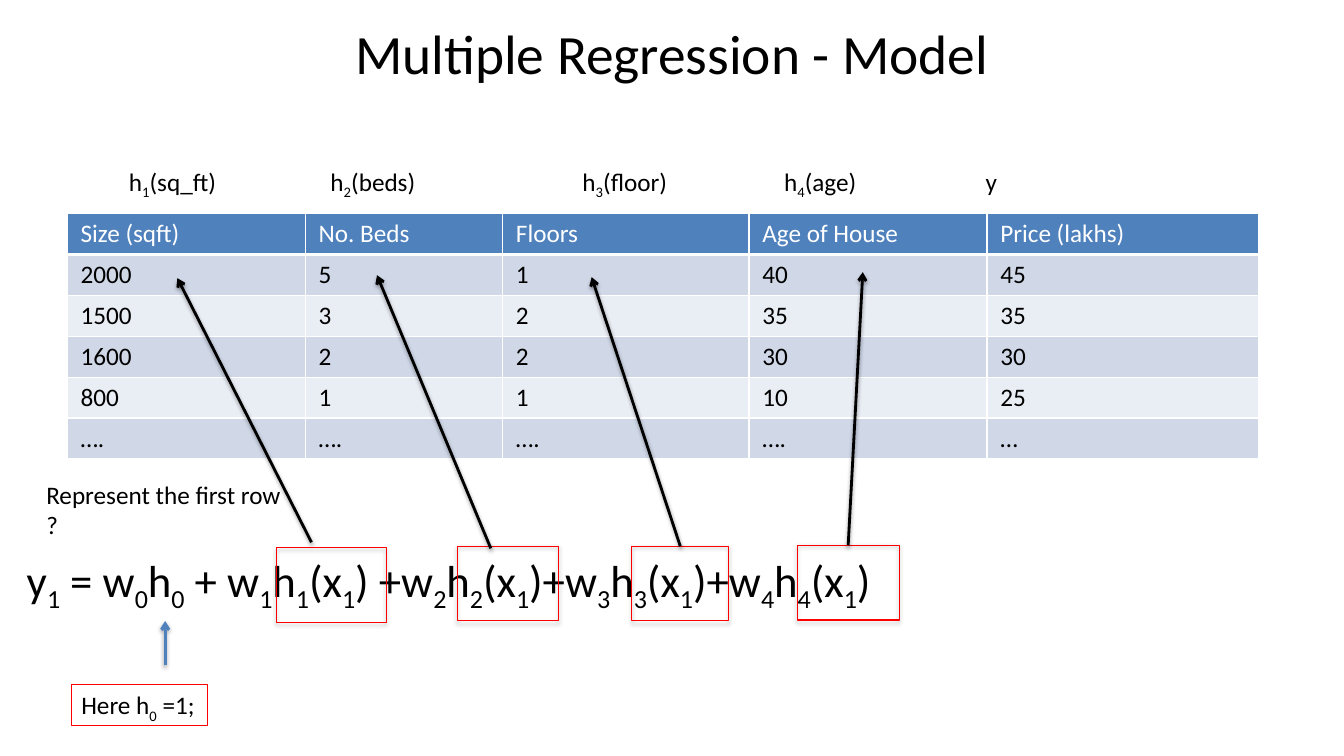
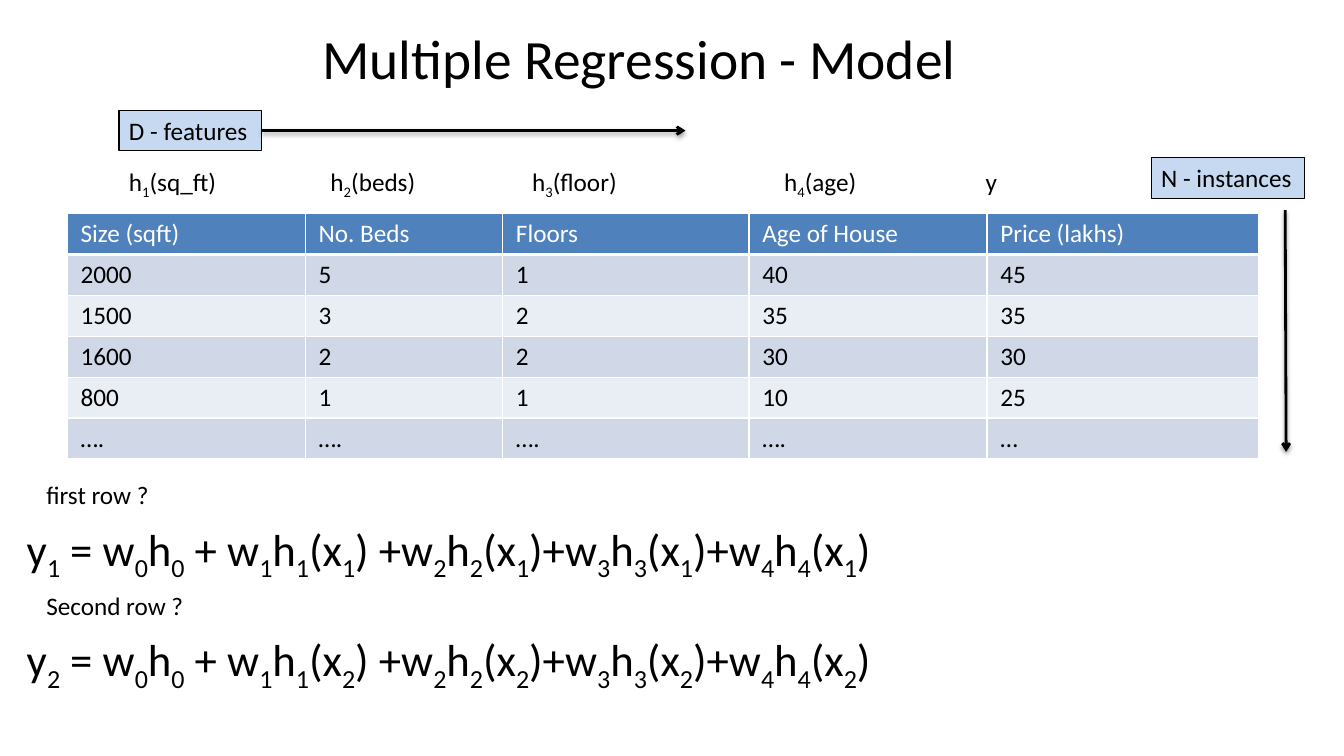
from lxml.etree import SubElement
from pptx import Presentation
from pptx.dml.color import RGBColor
from pptx.enum.shapes import MSO_CONNECTOR, MSO_SHAPE
from pptx.enum.text import MSO_ANCHOR, MSO_AUTO_SIZE, PP_ALIGN
from pptx.oxml.ns import qn
from pptx.util import Pt

FONT = "Calibri"
BODY_SIZE = 18
COLORS = {
    "ink": "000000",
    "paper": "FFFFFF",
    "header": "4F81BD",
    "band_dark": "D0D8E8",
    "band_light": "E9EDF4",
    "label": "C6D9F1",
    "mark": "FF0000",
}
HOUSES = [
    ["Size (sqft)", "No. Beds", "Floors", "Age of House", "Price (lakhs)"],
    ["2000", "5", "1", "40", "45"],
    ["1500", "3", "2", "35", "35"],
    ["1600", "2", "2", "30", "30"],
    ["800", "1", "1", "10", "25"],
    ["….", "….", "….", "….", "…"],
]
COLUMN_WIDTHS = [170, 141, 176, 170, 194]
ROW_HEIGHT = 29.2
FEATURES = "h~1~(sq_ft)\th~2~(beds)\th~3~(floor)\th~4~(age)\ty"
DATA_BOX = (48, 115, sum(COLUMN_WIDTHS))


def rgb(name):
    return RGBColor.from_string(COLORS[name])


def style_font(font, size, color="ink"):
    font.name = FONT
    font.size = Pt(size)
    font.bold = False
    font.color.rgb = rgb(color)


def add_runs(paragraph, text, size, color="ink"):
    for position, part in enumerate(text.split("~")):
        if not part:
            continue
        run = paragraph.add_run()
        run.text = part
        style_font(run.font, size, color)
        if position % 2:
            run._r.get_or_add_rPr().set("baseline", "-25000")


def add_text(slide, box, text, size=BODY_SIZE, wrap=True):
    text_box = slide.shapes.add_textbox(*map(Pt, box))
    text_box.text_frame.word_wrap = wrap
    add_runs(text_box.text_frame.paragraphs[0], text, size)
    return text_box


def add_framed_text(slide, box, text, line, fill=None):
    framed = add_text(slide, box, text, wrap=False)
    framed.line.color.rgb = rgb(line)
    framed.line.width = Pt(0.75)
    if fill:
        framed.fill.solid()
        framed.fill.fore_color.rgb = rgb(fill)
    return framed


def add_shadow(shape, distance, opacity):
    properties = shape._element.spPr
    effects = properties.find(qn("a:effectLst"))
    if effects is None:
        effects = SubElement(properties, qn("a:effectLst"))
    shadow = SubElement(effects, qn("a:outerShdw"), blurRad=str(Pt(3.1)),
                        dist=str(Pt(distance)), dir="5400000", rotWithShape="0")
    tone = SubElement(shadow, qn("a:srgbClr"), val=COLORS["ink"])
    SubElement(tone, qn("a:alpha"), val=str(opacity * 1000))


def add_arrow(slide, start, tip, color="ink", source=None, site=0):
    arrow = slide.shapes.add_connector(MSO_CONNECTOR.STRAIGHT, *map(Pt, (*start, *tip)))
    if source is not None:
        arrow.begin_connect(source, site)
    arrow.line.color.rgb = rgb(color)
    arrow.line.width = Pt(2)
    SubElement(arrow.line._get_or_add_ln(), qn("a:tailEnd"), type="arrow")
    add_shadow(arrow, 1.6, 38)


def add_title(slide, left, top):
    title = slide.shapes.title
    title.left, title.top, title.width, title.height = map(Pt, (left, top, 864, 60))
    frame = title.text_frame
    frame.word_wrap = True
    frame.auto_size = MSO_AUTO_SIZE.NONE
    frame.vertical_anchor = MSO_ANCHOR.MIDDLE
    heading = frame.paragraphs[0]
    heading.alignment = PP_ALIGN.CENTER
    add_runs(heading, "Multiple Regression - Model", 39.6)


def style_cell(cell, text, row):
    cell.margin_left = cell.margin_right = Pt(9.6)
    cell.margin_top = cell.margin_bottom = Pt(3.6)
    properties = cell._tc.get_or_add_tcPr()
    for side in ("L", "R", "T", "B"):
        width = 3 if row == 0 and side == "B" else 1
        border = SubElement(properties, qn(f"a:ln{side}"), w=str(Pt(width)))
        SubElement(SubElement(border, qn("a:solidFill")), qn("a:srgbClr"), val=COLORS["paper"])
    cell.fill.solid()
    band = "header" if row == 0 else "band_dark" if row % 2 else "band_light"
    cell.fill.fore_color.rgb = rgb(band)
    add_runs(cell.text_frame.paragraphs[0], text, BODY_SIZE, "ink" if row else "paper")


def add_data(slide, box, tab_stops):
    left, top, width = box
    features = add_text(slide, (left + 37, top, width - 37, 29), FEATURES)
    paragraph_properties = features.text_frame.paragraphs[0]._p.get_or_add_pPr()
    tabs = SubElement(paragraph_properties, qn("a:tabLst"))
    for stop in tab_stops:
        SubElement(tabs, qn("a:tab"), pos=str(Pt(stop)), algn="l")

    table = slide.shapes.add_table(
        len(HOUSES), len(COLUMN_WIDTHS), Pt(left), Pt(top + 37.6), Pt(width),
        Pt(ROW_HEIGHT * len(HOUSES))).table
    table.horz_banding = False
    for column, column_width in zip(table.columns, COLUMN_WIDTHS):
        column.width = Pt(column_width)
    for row, values in enumerate(HOUSES):
        table.rows[row].height = Pt(ROW_HEIGHT)
        for column, value in enumerate(values):
            style_cell(table.cell(row, column), value, row)


def add_equation(slide, box, instance):
    x = f"(x~{instance}~)"
    equation = (f"y~{instance}~ = w~0~h~0~ + w~1~h~1~{x} "
                f"+w~2~h~2~{x}+w~3~h~3~{x}+w~4~h~4~{x}")
    add_text(slide, box, equation, 32)


def add_term_marks(slide, left, top):
    marks = [
        (185.3, 0, 78.5, (210.5, -3.6), (114.7, -192.3)),
        (314.9, -0.8, 72, (338.6, 0.7), (257.3, -194.4)),
        (439.4, -0.8, 69.1, None, (410.6, -193)),
        (557.5, -1.5, 72.7, None, (604.3, -196.6)),
    ]
    for x, y, width, start, tip in marks:
        term = slide.shapes.add_shape(
            MSO_SHAPE.RECTANGLE, *map(Pt, (left + x, top + y, width, 53.4)))
        term.fill.background()
        term.line.color.rgb = rgb("mark")
        term.line.width = Pt(0.75)
        term.shadow.inherit = False
        add_shadow(term, 1.8, 35)
        source = None if start else term
        start_x, start_y = start or (x + width / 2, y)
        add_arrow(slide, (left + start_x, top + start_y),
                  (left + tip[0], top + tip[1]), source=source)


def add_constant_note(slide, left, top):
    add_framed_text(slide, (left, top, 97.2, 29), "Here h~0~ =1;", "mark")
    add_arrow(slide, (left + 67, top - 13.8), (left + 67, top - 45.4), "header")


def add_axis_labels(slide, left, top):
    features = add_framed_text(slide, (left, top, 101.5, 29), "D - features", "ink", "label")
    add_arrow(slide, (left + 101.5, top + 14.5), (left + 404.6, top + 14.5),
              source=features, site=3)
    add_framed_text(slide, (left + 737.3, top + 33.8, 109.4, 29), "N - instances", "ink", "label")
    add_arrow(slide, (left + 833, top + 71.3), (left + 833.7, top + 244))


def build_first_row_slide(slide):
    add_title(slide, 48, 7.2)
    add_data(slide, DATA_BOX, [144, 324, 468, 612])
    add_text(slide, (26, 339, 184.3, 51), "Represent the first row ?")
    add_equation(slide, (12, 391, 921, 85), 1)
    add_term_marks(slide, 12, 391)
    add_constant_note(slide, 51, 489)


def build_all_rows_slide(slide):
    add_title(slide, 24.5, 10.8)
    add_data(slide, DATA_BOX, [144, 288, 468, 612])
    for instance, question in enumerate(("first row ?", "Second row ?"), 1):
        top = 339 + 79 * (instance - 1)
        add_text(slide, (26, top, 150, 29), question)
        add_equation(slide, (12, top + 30, 921, 46), instance)
    add_axis_labels(slide, 85, 78.8)


def main():
    deck = Presentation()
    deck.slide_width, deck.slide_height = Pt(960), Pt(540)
    title_only = deck.slide_layouts[5]
    for build in (build_first_row_slide, build_all_rows_slide):
        build(deck.slides.add_slide(title_only))
    deck.save("out.pptx")


if __name__ == "__main__":
    main()
